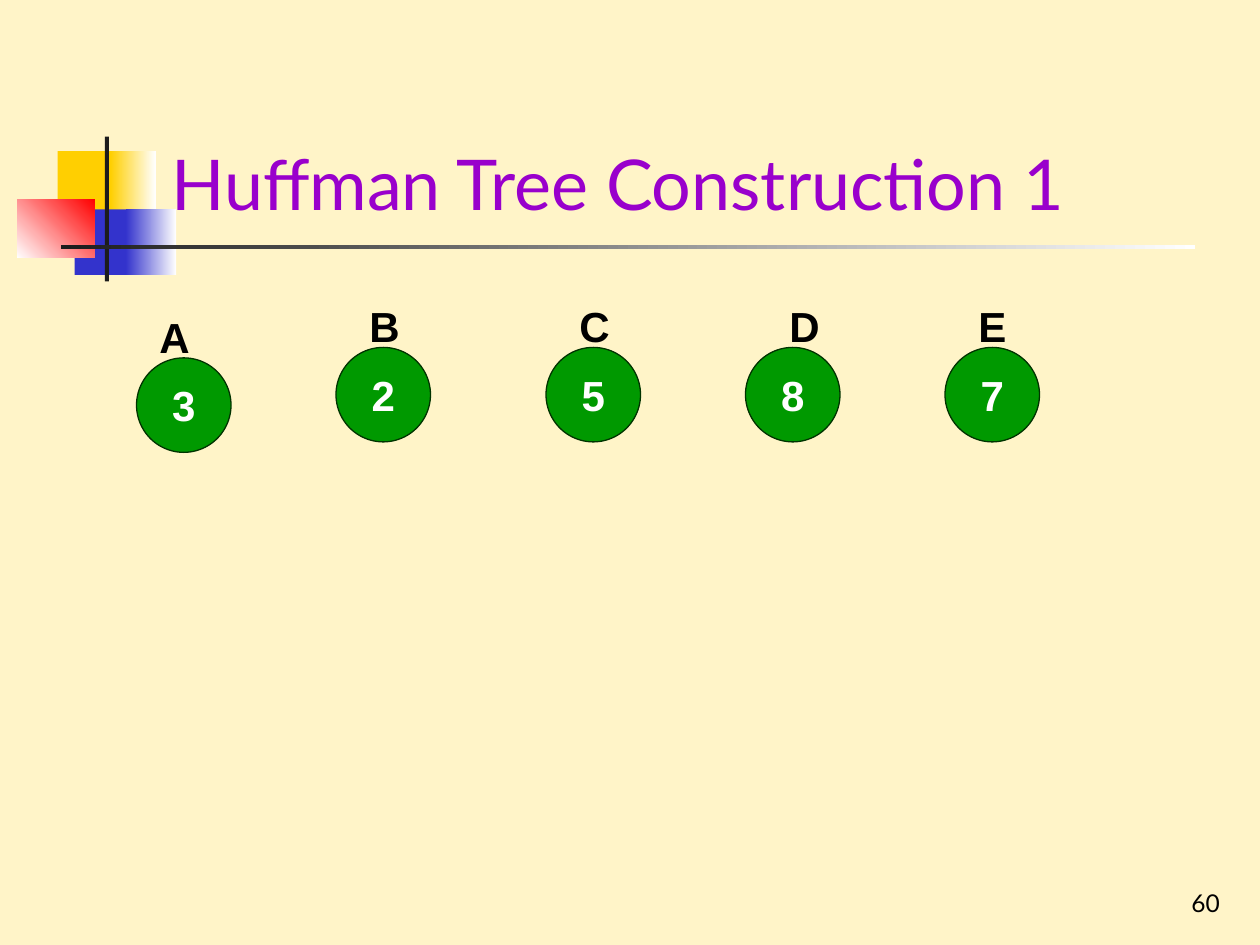
from pptx import Presentation
from pptx.dml.color import RGBColor
from pptx.enum import shapes, text
from pptx.util import Pt

CREAM = RGBColor(0xFF, 0xF4, 0xC8)
YELLOW = RGBColor(0xFF, 0xCF, 0x01)
BLUE = RGBColor(0x33, 0x33, 0xCC)
RED = RGBColor(0xFF, 0x00, 0x00)
CHARCOAL = RGBColor(0x1C, 0x1C, 0x1C)
PURPLE = RGBColor(0x99, 0x00, 0xCC)
GREEN = RGBColor(0x00, 0x99, 0x00)
DARK_GREEN = RGBColor(0x00, 0x33, 0x00)
WHITE = RGBColor(0xFF, 0xFF, 0xFF)
BLACK = RGBColor(0x00, 0x00, 0x00)

NODE_SIZE = 54
LABEL_RISE = 30.2

# Left, top, width, height, first colour, last colour, gradient angle
DECORATION = [
    (33, 86.4, 34.6, 37.4, YELLOW, None, 0),
    (63.2, 86.4, 25.8, 37.4, YELLOW, WHITE, 0),
    (42.6, 119.7, 33, 37.4, BLUE, None, 0),
    (72, 119.7, 28.6, 37.4, BLUE, WHITE, 0),
    (9.8, 113.8, 44.4, 33.5, WHITE, RED, 45),
    (59.9, 78, 2.4, 82.8, CHARCOAL, None, 0),
    (34.8, 140.1, 648, 2.4, CHARCOAL, WHITE, 0),
]

# Letter, frequency, node left, node top, label left
LEAVES = [
    ("A", "3", 78, 204.5, 84),
    ("B", "2", 192, 198.5, 204),
    ("C", "5", 312, 198.5, 324),
    ("D", "8", 426, 198.5, 444),
    ("E", "7", 540, 198.5, 552),
]


def write_text(shape, content, size, color, font="Arial", bold=False,
               align=text.PP_ALIGN.LEFT, anchor=text.MSO_ANCHOR.TOP,
               wrap=False, auto_size=text.MSO_AUTO_SIZE.NONE):
    frame = shape.text_frame
    frame.auto_size = auto_size
    frame.word_wrap = wrap
    frame.vertical_anchor = anchor
    paragraph = frame.paragraphs[0]
    paragraph.alignment = align
    run = paragraph.add_run()
    run.text = content
    run.font.name = font
    run.font.size = Pt(size)
    run.font.bold = bold
    run.font.color.rgb = color


def add_block(slide, left, top, width, height, first, last, angle):
    block = slide.shapes.add_shape(shapes.MSO_SHAPE.RECTANGLE,
                                   Pt(left), Pt(top), Pt(width), Pt(height))
    block.shadow.inherit = False
    block.line.fill.background()
    if last is None:
        block.fill.solid()
        block.fill.fore_color.rgb = first
    else:
        block.fill.gradient()
        block.fill.gradient_angle = angle
        for stop, color in zip(block.fill.gradient_stops, (first, last)):
            stop.color.rgb = color


def add_title(slide, content):
    title = slide.shapes.title
    title.left, title.top = Pt(90.7), Pt(16.6)
    title.width, title.height = Pt(613.4), Pt(115.2)
    write_text(title, content, 40, PURPLE, font="Lato", wrap=True,
               anchor=text.MSO_ANCHOR.BOTTOM)
    # Bring the title in front of the decoration
    title.element.getparent().append(title.element)


def add_page_number(slide, number):
    box = slide.shapes.add_textbox(Pt(554.4), Pt(491.8), Pt(149.8), Pt(36))
    write_text(box, number, 14, BLACK, font="Lato", wrap=True,
               align=text.PP_ALIGN.RIGHT, anchor=text.MSO_ANCHOR.BOTTOM)


def add_node(slide, frequency, left, top):
    node = slide.shapes.add_shape(shapes.MSO_SHAPE.OVAL, Pt(left), Pt(top),
                                  Pt(NODE_SIZE), Pt(NODE_SIZE))
    node.shadow.inherit = False
    node.fill.solid()
    node.fill.fore_color.rgb = GREEN
    node.line.color.rgb = DARK_GREEN
    node.line.width = Pt(0.75)
    write_text(node, frequency, 24, WHITE, bold=True,
               align=text.PP_ALIGN.CENTER, anchor=text.MSO_ANCHOR.MIDDLE)


def add_label(slide, letter, left, top):
    box = slide.shapes.add_textbox(Pt(left), Pt(top), Pt(31.7), Pt(36))
    write_text(box, letter, 24, BLACK, bold=True,
               auto_size=text.MSO_AUTO_SIZE.SHAPE_TO_FIT_TEXT)


def main():
    presentation = Presentation()
    presentation.slide_width, presentation.slide_height = Pt(720), Pt(540)
    slide = presentation.slides.add_slide(presentation.slide_layouts[5])
    slide.background.fill.solid()
    slide.background.fill.fore_color.rgb = CREAM

    # Coloured blocks and rules around the title
    for block in DECORATION:
        add_block(slide, *block)
    add_page_number(slide, "60")
    add_title(slide, "Huffman Tree Construction 1")

    # Leaf nodes, then the letters above them
    for _, frequency, left, top, _ in LEAVES:
        add_node(slide, frequency, left, top)
    for letter, _, _, top, label_left in LEAVES:
        add_label(slide, letter, label_left, top - LABEL_RISE)

    presentation.save("out.pptx")


if __name__ == "__main__":
    main()
